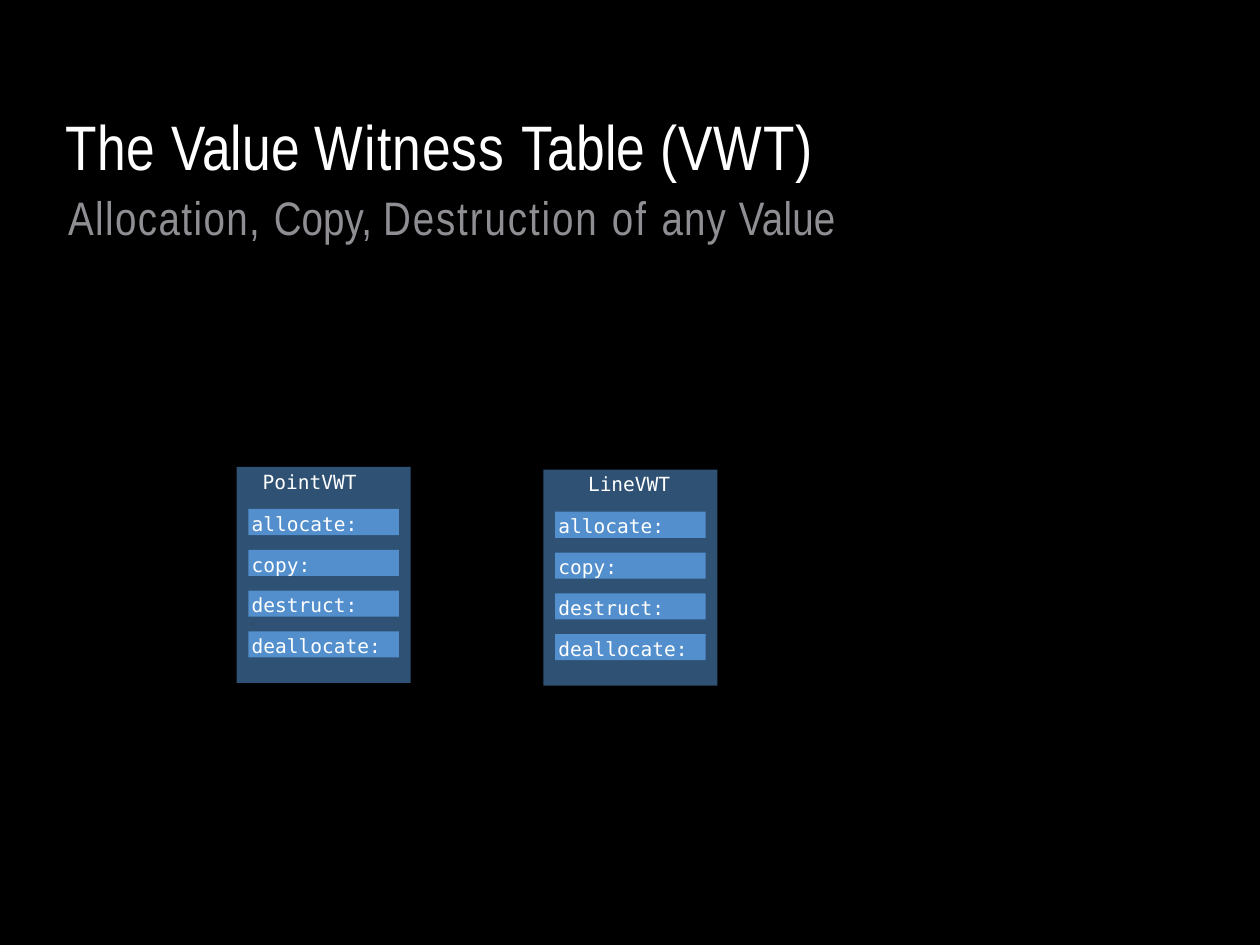
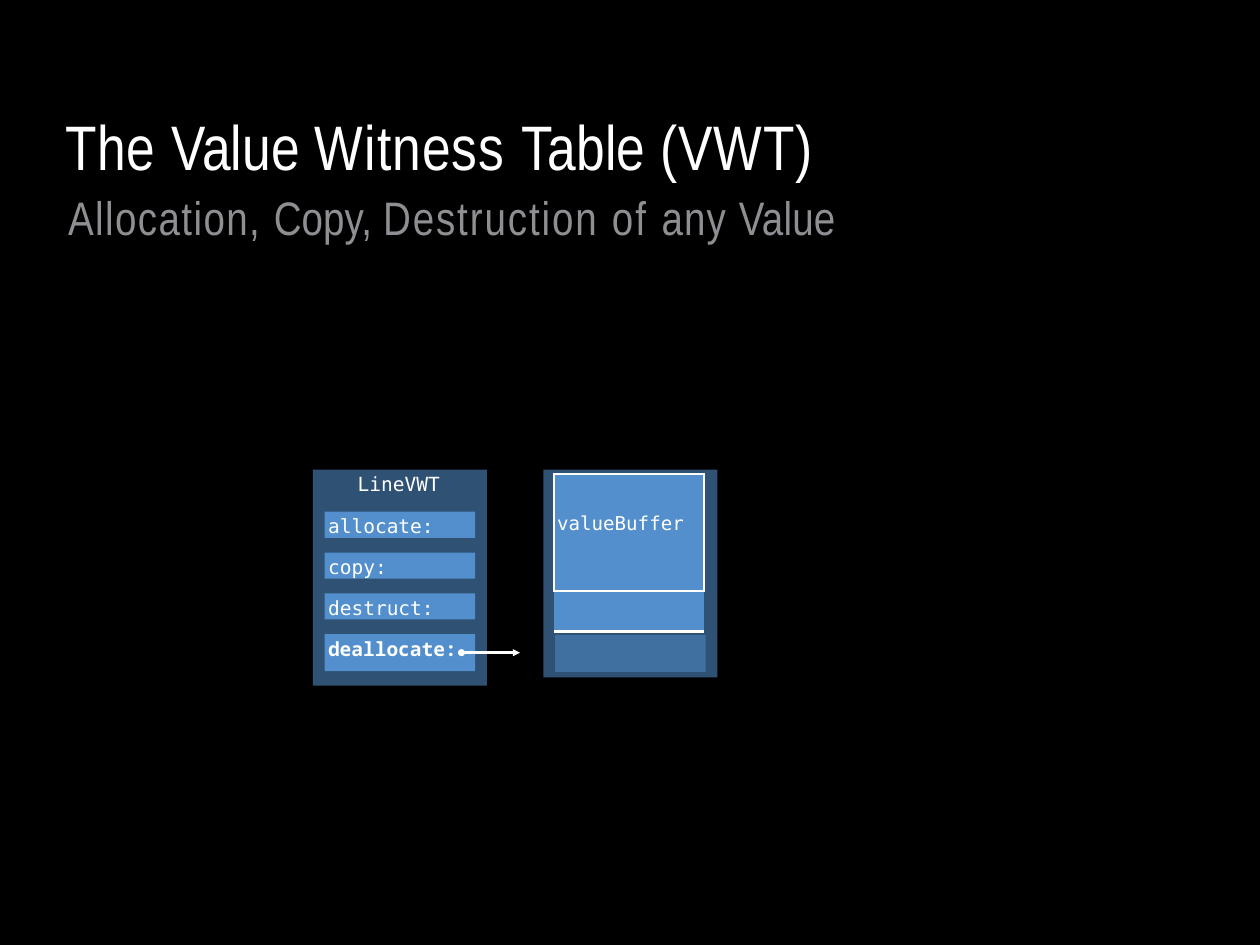
from dataclasses import dataclass

from lxml.etree import SubElement
from pptx import Presentation
from pptx.dml.color import RGBColor
from pptx.enum.shapes import MSO_CONNECTOR, MSO_SHAPE
from pptx.enum.text import MSO_ANCHOR, MSO_AUTO_SIZE, PP_ALIGN
from pptx.oxml.ns import qn
from pptx.util import Inches, Pt


@dataclass(frozen=True)
class Theme:
    background: str = "000000"
    text: str = "FFFFFF"
    subtitle: str = "8E8E93"
    panel: str = "2E5174"
    field: str = "528FCC"
    title_font: str = "Arial Narrow"
    code_font: str = "DejaVu Sans Mono"
    strong_font: str = "Noto Sans Mono"
    title_size: float = 65.8
    subtitle_size: float = 49.2
    code_size: float = 20.4
    buffer_size: float = 20
    line: float = 2.47
    thick_line: float = 3.67


THEME = Theme()

TITLE_RUNS = [("The ", 0.8), ("Value ", 0.2), ("Witness ", 1.2), ("Table ", 0.2), ("(VWT)", 1.2)]
SUBTITLE_RUNS = [("Allocation, ", 1.5), ("Copy, ", 0.1), ("Destruction ", 2),
                 ("of ", 2.4), ("any ", 1.2), ("Value", 0.2)]
FIELDS = ["allocate:", "copy:", "destruct:", "deallocate:"]
POINT_TABLE = {"name": "PointVWT", "indent": 0.38}
LINE_TABLE = {"name": "LineVWT", "indent": 0.65}

PANEL_WIDTH, PANEL_HEIGHT = 2.53, 3.14
FIELD_WIDTH, FIELD_HEIGHT, ACTIVE_HEIGHT = 2.19, 0.38, 0.54
FIELD_INSET, FIRST_FIELD, LAST_FIELD = 0.17, 0.61, 2.39
FIELD_PITCH = (LAST_FIELD - FIRST_FIELD) / (len(FIELDS) - 1)
PANEL_TOP = 6.83
BUFFER_LEFT, BUFFER_HEIGHT = 7.9, 3.02

BUFFER_ROWS = [
    (0.56, "", {"L": THEME.line, "R": THEME.line, "T": THEME.line}),
    (0.58, "valueBuffer", {"L": THEME.line, "R": THEME.line}),
    (0.57, "", {"L": THEME.line, "R": THEME.line, "B": THEME.line}),
    (0.58, "", {"T": THEME.line, "B": THEME.thick_line}),
]


def color(value):
    return RGBColor.from_string(value)


def format_paragraph(paragraph, font, size, value, bold=False):
    paragraph.alignment = PP_ALIGN.LEFT
    paragraph.font.name = font
    paragraph.font.size = Pt(size)
    paragraph.font.color.rgb = color(value)
    paragraph.font.bold = bold


def add_spaced_runs(paragraph, runs):
    for text, spacing in runs:
        run = paragraph.add_run()
        run.text = text
        run._r.get_or_add_rPr().set("spc", str(round(spacing * 100)))


def add_titled_slide(presentation):
    slide = presentation.slides.add_slide(presentation.slide_layouts[5])
    title = slide.shapes.title
    title.left, title.top = Inches(0.95), Inches(1.56)
    title.width, title.height = Inches(13.38), Inches(2.02)
    frame = title.text_frame
    frame.auto_size = MSO_AUTO_SIZE.NONE
    frame.vertical_anchor = MSO_ANCHOR.TOP
    frame.margin_left = frame.margin_right = frame.margin_top = frame.margin_bottom = 0
    heading, subtitle = frame.paragraphs[0], frame.add_paragraph()
    format_paragraph(heading, THEME.title_font, THEME.title_size, THEME.text)
    add_spaced_runs(heading, TITLE_RUNS)
    subtitle._p.get_or_add_pPr().set("marL", str(Inches(0.04)))
    subtitle.space_before = Pt(5.7)
    format_paragraph(subtitle, THEME.title_font, THEME.subtitle_size, THEME.subtitle)
    add_spaced_runs(subtitle, SUBTITLE_RUNS)
    return slide


def add_box(slide, left, top, width, height, fill, text="", indent=0.05, strong=False):
    shape = slide.shapes.add_shape(MSO_SHAPE.RECTANGLE, Inches(left), Inches(top),
                                   Inches(width), Inches(height))
    shape.shadow.inherit = False
    shape.fill.solid()
    shape.fill.fore_color.rgb = color(fill)
    shape.line.fill.background()
    if text:
        frame = shape.text_frame
        frame.word_wrap = True
        frame.vertical_anchor = MSO_ANCHOR.TOP
        frame.margin_left, frame.margin_top = Inches(indent), Inches(0.04)
        frame.margin_right = frame.margin_bottom = 0
        paragraph = frame.paragraphs[0]
        paragraph.text = text
        font = THEME.strong_font if strong else THEME.code_font
        format_paragraph(paragraph, font, THEME.code_size, THEME.text, strong)
    return shape


def add_witness_table(slide, witness, left, top, active=None):
    add_box(slide, left, top, PANEL_WIDTH, PANEL_HEIGHT, THEME.panel,
            witness["name"], witness["indent"])
    for index, field in enumerate(FIELDS):
        strong = field == active
        add_box(slide, left + FIELD_INSET, top + FIRST_FIELD + index * FIELD_PITCH,
                FIELD_WIDTH, ACTIVE_HEIGHT if strong else FIELD_HEIGHT,
                THEME.field, field, strong=strong)


def set_borders(cell, borders):
    properties = cell._tc.get_or_add_tcPr()
    for side in "LRTB":
        width = borders.get(side, 0)
        line = SubElement(properties, qn(f"a:ln{side}"), w=str(Pt(width)))
        if width:
            fill = SubElement(line, qn("a:solidFill"))
            SubElement(fill, qn("a:srgbClr"), val=THEME.text)
        else:
            SubElement(line, qn("a:noFill"))


def add_buffer_table(slide, left, top):
    height = sum(row[0] for row in BUFFER_ROWS)
    table = slide.shapes.add_table(len(BUFFER_ROWS), 1, Inches(left), Inches(top),
                                   Inches(FIELD_WIDTH), Inches(height)).table
    table.first_row = table.horz_banding = False
    for index, (row_height, text, borders) in enumerate(BUFFER_ROWS):
        table.rows[index].height = Inches(row_height)
        cell = table.cell(index, 0)
        cell.margin_left = Inches(0.05)
        cell.margin_right = cell.margin_top = cell.margin_bottom = 0
        set_borders(cell, borders)
        cell.fill.solid()
        cell.fill.fore_color.rgb = color(THEME.field)
        if text:
            paragraph = cell.text_frame.paragraphs[0]
            paragraph.text = text
            format_paragraph(paragraph, THEME.code_font, THEME.buffer_size, THEME.text)


def add_arrow(slide, start, end, y):
    arrow = slide.shapes.add_connector(MSO_CONNECTOR.STRAIGHT, Inches(start), Inches(y),
                                       Inches(end), Inches(y))
    arrow.line.color.rgb = color(THEME.text)
    arrow.line.width = Pt(THEME.line)
    line = arrow.line._get_or_add_ln()
    SubElement(line, qn("a:headEnd"), type="oval")
    SubElement(line, qn("a:tailEnd"), type="triangle")
    SubElement(arrow._element.spPr, qn("a:effectLst"))


def add_value_buffer(slide):
    add_box(slide, BUFFER_LEFT, PANEL_TOP, PANEL_WIDTH, BUFFER_HEIGHT, THEME.panel)
    faded = add_box(slide, BUFFER_LEFT + FIELD_INSET, PANEL_TOP + 2.4,
                    FIELD_WIDTH, ACTIVE_HEIGHT, THEME.field)
    fill_color = faded._element.spPr.find(qn("a:solidFill")).find(qn("a:srgbClr"))
    SubElement(fill_color, qn("a:alpha"), val="50000")
    add_buffer_table(slide, BUFFER_LEFT + 0.15, PANEL_TOP + 0.06)


def main():
    presentation = Presentation()
    presentation.slide_width, presentation.slide_height = Inches(18.32), Inches(13.74)
    background = presentation.slide_master.background.fill
    background.solid()
    background.fore_color.rgb = color(THEME.background)

    slide = add_titled_slide(presentation)
    add_witness_table(slide, LINE_TABLE, BUFFER_LEFT, PANEL_TOP)
    add_witness_table(slide, POINT_TABLE, 3.44, 6.79)

    slide = add_titled_slide(presentation)
    add_witness_table(slide, LINE_TABLE, 4.55, PANEL_TOP, active="deallocate:")
    add_value_buffer(slide)
    add_arrow(slide, 6.71, 7.56, 9.49)

    presentation.save("out.pptx")


if __name__ == "__main__":
    main()
